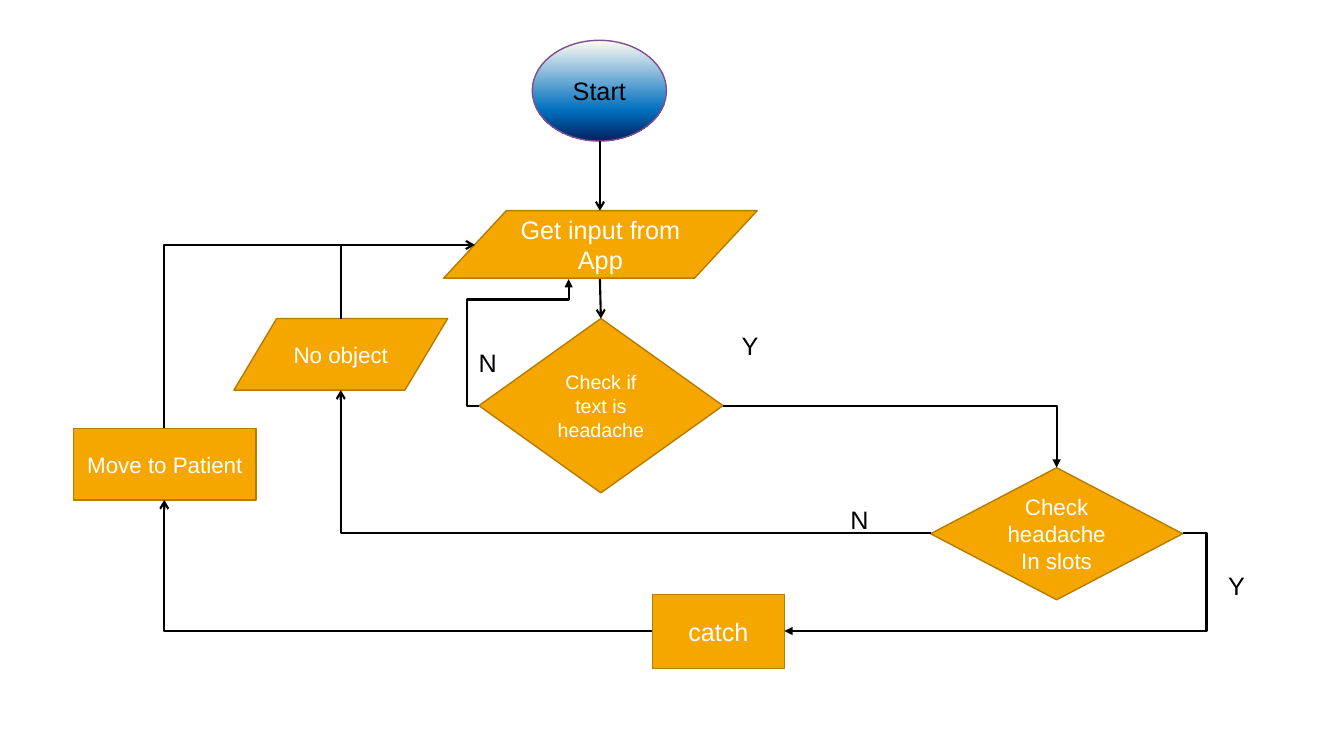
import copy

import pptx
import pptx.dml.color
import pptx.enum.shapes
import pptx.enum.text
import pptx.oxml
import pptx.oxml.ns
import pptx.util

Inches = pptx.util.Inches
Pt = pptx.util.Pt
qn = pptx.oxml.ns.qn
SHAPE = pptx.enum.shapes.MSO_SHAPE
CONNECTOR = pptx.enum.shapes.MSO_CONNECTOR
ALIGN = pptx.enum.text.PP_ALIGN
ANCHOR = pptx.enum.text.MSO_ANCHOR

BLACK, WHITE = "000000", "FFFFFF"
ORANGE, BROWN, PURPLE = "F5A700", "B57C00", "824F8C"
START_GRADIENT = [(0, "FFFBF2"), (0.69, "0070C0"), (1, "002060")]


def color(hex_string):
    return pptx.dml.color.RGBColor.from_string(hex_string)


def write_text(shape, text, size, text_color, align=ALIGN.CENTER):
    """Write one paragraph per line of text."""
    frame = shape.text_frame
    frame.word_wrap = True
    frame.text = text
    for paragraph in frame.paragraphs:
        paragraph.alignment = align
        paragraph.font.size = Pt(size)
        paragraph.font.name = "Arial"
        paragraph.font.color.rgb = color(text_color)


def add_node(slide, kind, box, text, size, text_color=WHITE, outline=BROWN):
    node = slide.shapes.add_shape(kind, *map(Inches, box))
    node.shadow.inherit = False
    node.fill.solid()
    node.fill.fore_color.rgb = color(ORANGE)
    node.line.color.rgb = color(outline)
    node.line.width = Pt(1)
    write_text(node, text, size, text_color)
    node.text_frame.vertical_anchor = ANCHOR.MIDDLE
    return node


def fill_gradient(shape, stops):
    """Fill from top to bottom with (position, colour) stops."""
    shape.fill.gradient()
    shape.fill.gradient_angle = 270
    stop_list = next(shape._element.iter(qn("a:gsLst")))
    while len(stop_list) < len(stops):
        stop_list.append(copy.deepcopy(stop_list[0]))
    for stop, (position, stop_color) in zip(shape.fill.gradient_stops, stops):
        stop.position = position
        stop.color.rgb = color(stop_color)


def add_label(slide, box, text, align=ALIGN.CENTER):
    label = slide.shapes.add_textbox(*map(Inches, box))
    write_text(label, text, 18, BLACK, align)


def add_line(slide, begin, end, kind=CONNECTOR.STRAIGHT, arrow=None, arrow_end="tailEnd"):
    line = slide.shapes.add_connector(kind, *map(Inches, begin + end))
    line.line.color.rgb = color(BLACK)
    line.line.width = Pt(1.5)
    properties = line._element.spPr
    if arrow:
        arrowhead = pptx.oxml.parse_xml(f"<a:{arrow_end} {pptx.oxml.ns.nsdecls('a')}/>")
        arrowhead.set("type", arrow)
        properties.find(qn("a:ln")).append(arrowhead)
    properties.append(pptx.oxml.parse_xml(f"<a:effectLst {pptx.oxml.ns.nsdecls('a')}/>"))
    return line


def add_elbow(slide, begin, end, arrow, bends=(), arrow_end="tailEnd"):
    """Leave begin horizontally; each bend is a fraction of the span, by turns x and y."""
    line = add_line(slide, begin, end, CONNECTOR.ELBOW, arrow, arrow_end)
    geometry = line._element.spPr.find(qn("a:prstGeom"))
    geometry.set("prst", f"bentConnector{len(bends) + 2}")
    adjustments = geometry.get_or_add_avLst()
    for number, bend in enumerate(bends, 1):
        guide = pptx.oxml.parse_xml(f"<a:gd {pptx.oxml.ns.nsdecls('a')}/>")
        guide.set("name", f"adj{number}" if len(bends) > 1 else "adj1")
        guide.set("fmla", f"val {round(bend * 100000)}")
        adjustments.append(guide)


def main():
    presentation = pptx.Presentation()
    presentation.slide_width = Inches(13.33)
    presentation.slide_height = Inches(7.5)
    slide = presentation.slides.add_slide(presentation.slide_layouts[6])

    start = add_node(slide, SHAPE.OVAL, (5.28, 0.4, 1.33, 1), "Start", 18, BLACK, PURPLE)
    fill_gradient(start, START_GRADIENT)
    add_node(slide, SHAPE.FLOWCHART_DATA, (4.4, 2.09, 3.11, 0.67), "Get input from App", 18)
    check_text = add_node(slide, SHAPE.DIAMOND, (4.75, 3.16, 2.42, 1.73),
                          "Check if text is headache", 14)
    add_node(slide, SHAPE.DIAMOND, (9.23, 4.64, 2.5, 1.31), "Check headache\nIn slots", 16)
    add_node(slide, SHAPE.RECTANGLE, (6.47, 5.9, 1.31, 0.73), "catch", 18)
    add_node(slide, SHAPE.RECTANGLE, (0.73, 4.25, 1.81, 0.71), "Move to Patient", 16)
    add_node(slide, SHAPE.FLOWCHART_DATA, (2.32, 3.16, 2.12, 0.71), "No object", 16)

    add_line(slide, (5.95, 1.4), (5.95, 2.09), arrow="arrow")
    input_to_check = add_line(slide, (5.95, 2.77), (5.96, 3.16), arrow="arrow")
    input_to_check.end_connect(check_text, 0)
    add_line(slide, (3.38, 3.16), (3.38, 2.43))

    add_elbow(slide, (4.71, 2.43), (1.63, 4.25), "arrow", arrow_end="headEnd")
    add_elbow(slide, (9.23, 5.29), (3.38, 3.87), "arrow")
    add_elbow(slide, (6.47, 6.26), (1.63, 4.96), "arrow")
    add_elbow(slide, (7.17, 4.03), (10.48, 4.64), "triangle")
    add_elbow(slide, (4.75, 4.03), (5.64, 2.77), "triangle", (-0.13, 0.84))
    add_elbow(slide, (11.73, 5.29), (7.78, 6.26), "triangle", (-0.06,))

    add_label(slide, (7.02, 3.23, 0.84, 0.4), "Y")
    add_label(slide, (11.89, 5.61, 0.75, 0.4), "Y")
    add_label(slide, (8.07, 4.95, 0.91, 0.4), "N")
    add_label(slide, (4.65, 3.4, 0.26, 0.4), "N", ALIGN.LEFT)

    presentation.save("out.pptx")


if __name__ == "__main__":
    main()
